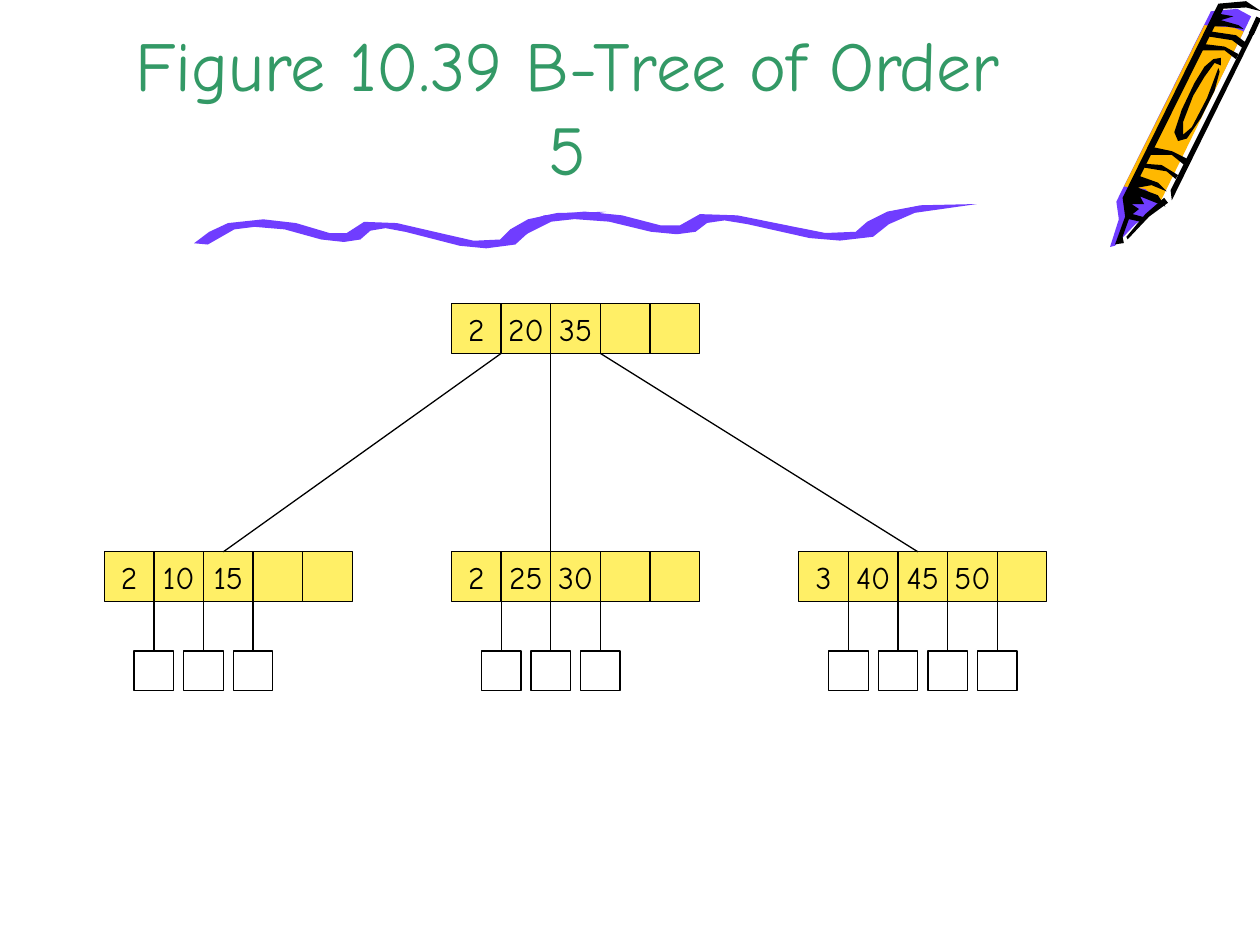
from lxml.etree import SubElement
from pptx import Presentation
from pptx.dml.color import RGBColor
from pptx.enum.shapes import MSO_CONNECTOR as Link, MSO_SHAPE as Form
from pptx.enum.text import MSO_ANCHOR as Anchor, PP_ALIGN as Align
from pptx.oxml.ns import qn
from pptx.util import Pt

BLACK, PURPLE, ORANGE = "000000", "703DFF", "FFB800"
YELLOW, GREEN = "FFEF66", "339966"
GRID = 0.72  # points per unit in the outlines below
CELL, BOX, SLOTS = 28.35, 22.6, 5

# Crayon parts from back to front: colour, corners
CRAYON = [
    (PURPLE, [(993, 13), (917, 166), (901, 178), (885, 195), (881, 196), (888, 174),
              (886, 160), (961, 9), (982, 7)]),
    (ORANGE, [(921, 160), (909, 150), (892, 148), (956, 20), (979, 22), (987, 25)]),
    (BLACK, [(927, 161), (912, 172), (895, 190), (894, 188), (909, 170), (924, 157)]),
    (BLACK, [(987, 23), (973, 21), (961, 21), (968, 11), (979, 13), (969, 16), (983, 20)]),
    (BLACK, [(968, 57), (964, 72), (953, 94), (942, 110), (935, 112), (932, 105),
             (938, 87), (948, 66), (956, 53), (963, 47), (969, 46), (969, 52), (964, 50),
             (956, 61), (947, 76), (939, 97), (939, 107), (946, 101), (958, 78), (967, 54)]),
    (BLACK, [(997, 23), (930, 159), (929, 151), (993, 23)]),
    (BLACK, [(925, 164), (919, 155), (903, 149), (914, 147), (926, 152), (919, 145),
             (905, 140), (971, 7), (989, 6), (1001, 9), (989, 1), (967, 3), (891, 157),
             (893, 172), (885, 194), (892, 193), (891, 188), (896, 174), (905, 176),
             (910, 173), (899, 170), (904, 166), (898, 162), (908, 162), (905, 156)]),
    (BLACK, [(933, 142), (926, 136), (908, 133), (909, 130), (922, 131), (935, 139)]),
    (BLACK, [(940, 131), (930, 123), (913, 123), (916, 117), (930, 120), (942, 126)]),
    (BLACK, [(981, 47), (972, 40), (953, 40), (956, 35), (972, 37), (983, 43)]),
    (BLACK, [(986, 38), (978, 32), (959, 29), (961, 25), (981, 28), (989, 34)]),
]
WAVE = [(11, 26), (32, 14), (48, 12), (72, 14), (101, 22), (119, 24), (132, 22), (140, 15),
        (152, 13), (168, 16), (211, 27), (232, 29), (255, 26), (266, 16), (284, 7), (327, 0),
        (288, 1), (265, 6), (251, 14), (243, 22), (222, 23), (200, 18), (161, 9), (135, 8),
        (121, 17), (108, 17), (81, 9), (55, 6), (27, 9), (12, 16), (0, 25)]


def color(code):
    return RGBColor.from_string(code)


def write(shape, text, size=18, hue=BLACK, anchor=Anchor.MIDDLE, wrap=False):
    frame = shape.text_frame
    frame.word_wrap, frame.vertical_anchor = wrap, anchor
    para = frame.paragraphs[0]
    para.text, para.alignment = text, Align.CENTER
    font = para.font
    font.name, font.size, font.color.rgb = "Comic Neue", Pt(size), color(hue)


class Board:
    def __init__(self, slide):
        self.shapes = slide.shapes
        self.ink, self.thin = BLACK, 0.75

    def title(self, text, x, y, w, h):
        box = self.shapes.add_textbox(Pt(x), Pt(y), Pt(w), Pt(h))
        write(box, text, size=40, hue=GREEN, anchor=Anchor.BOTTOM, wrap=True)

    def rect(self, x, y, w, h, fill=None, text=""):
        shape = self.shapes.add_shape(Form.RECTANGLE, Pt(x), Pt(y), Pt(w), Pt(h))
        shape.shadow.inherit = False
        if fill:
            shape.fill.solid()
            shape.fill.fore_color.rgb = color(fill)
        else:
            shape.fill.background()
        shape.line.color.rgb, shape.line.width = color(self.ink), Pt(self.thin)
        if text:
            write(shape, text)
        return shape

    def line(self, x1, y1, x2, y2, width=None, below=None):
        """Draw a line, joined to the top of the shape below if one is given."""
        link = self.shapes.add_connector(Link.STRAIGHT, Pt(x1), Pt(y1), Pt(x2), Pt(y2))
        link.line.color.rgb, link.line.width = color(self.ink), Pt(width or self.thin)
        SubElement(link._element.spPr, qn("a:effectLst"))
        if below is not None:
            link.end_connect(below, 0)

    def outline(self, points, fill, x=0, y=0, stretch=1):
        scale = (Pt(1) * GRID * stretch, Pt(1) * GRID)
        # Scale is EMU per unit
        path = self.shapes.build_freeform(*points[0], scale=scale)
        path.add_line_segments(points[1:], close=True)
        shape = path.convert_to_shape(Pt(x), Pt(y))
        shape.shadow.inherit = False
        shape.fill.solid()
        shape.fill.fore_color.rgb = color(fill)
        shape.line.fill.background()

    def node(self, x, y, *keys):
        for i in range(SLOTS):
            text = str(keys[i]) if i < len(keys) else ""
            self.rect(x + i * CELL, y, CELL, CELL, YELLOW, text)

    def leaves(self, x, y, count):
        """Hang empty boxes under the cell borders of the node at x, y."""
        top = y + 2 * CELL
        for i in range(1, count + 1):
            mid = x + i * CELL
            leaf = self.rect(mid - BOX / 2, top, BOX, BOX)
            self.line(mid, y + CELL, mid, top, below=leaf)


def main():
    deck = Presentation()
    deck.slide_width, deck.slide_height = Pt(720), Pt(540)
    board = Board(deck.slides.add_slide(deck.slide_layouts[6]))

    for fill, points in CRAYON:
        board.outline(points, fill)
    board.line(719.3, 10.1, 715, 19.4, width=3)
    board.outline(WAVE, PURPLE, 110.9, 121)
    board.outline(WAVE, PURPLE, 288.7, 116.6, stretch=1.145)
    board.title("Figure 10.39 B-Tree of Order 5", 54, 0, 540.7, 111.6)

    left, top = 59.6, 173.6
    step, low = 7 * CELL, top + 5 * CELL
    root = left + step
    board.node(root, top, 2, 20, 35)
    kids = [((2, 10, 15), 2.4), ((2, 25, 30), 2), ((3, 40, 45, 50), 2.4)]
    for i, (keys, port) in enumerate(kids):
        x = left + i * step
        board.node(x, low, *keys)
        board.leaves(x, low, len(keys))
        board.line(root + (i + 1) * CELL, top + CELL, x + port * CELL, low)

    deck.save("out.pptx")


if __name__ == "__main__":
    main()
